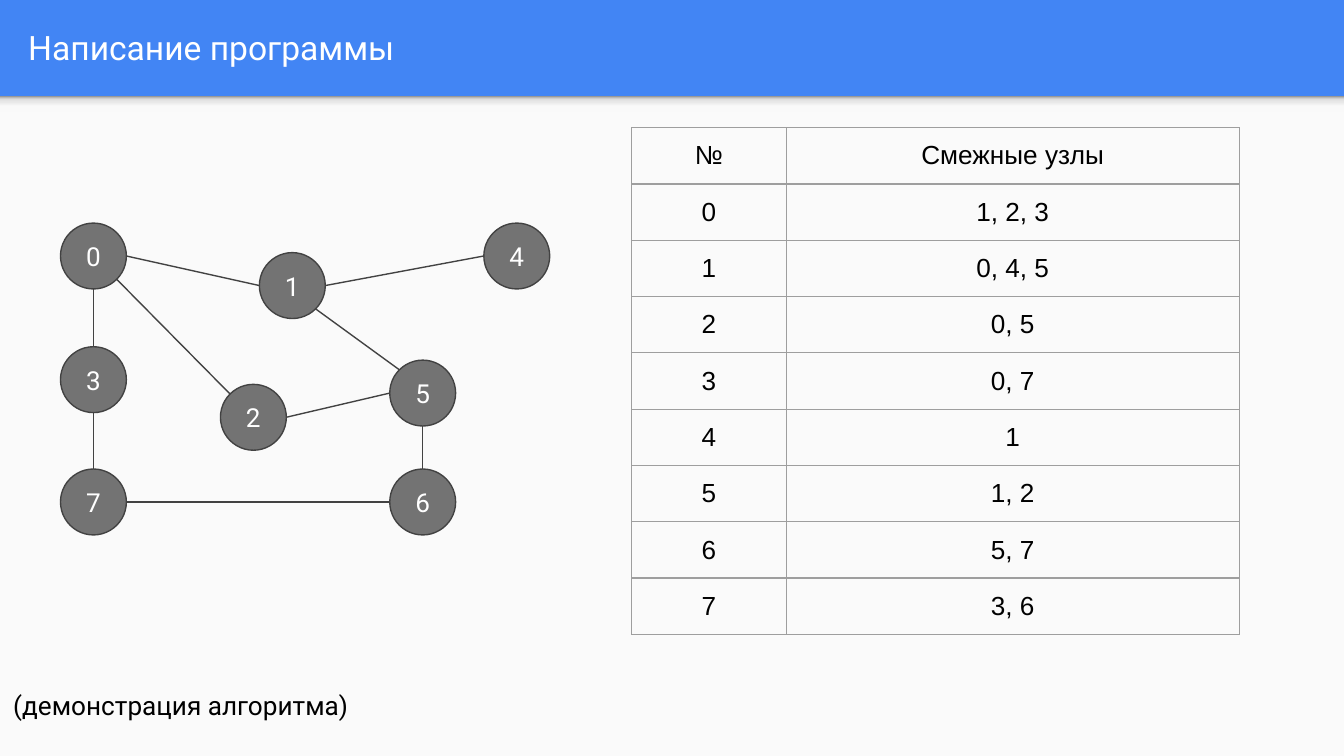
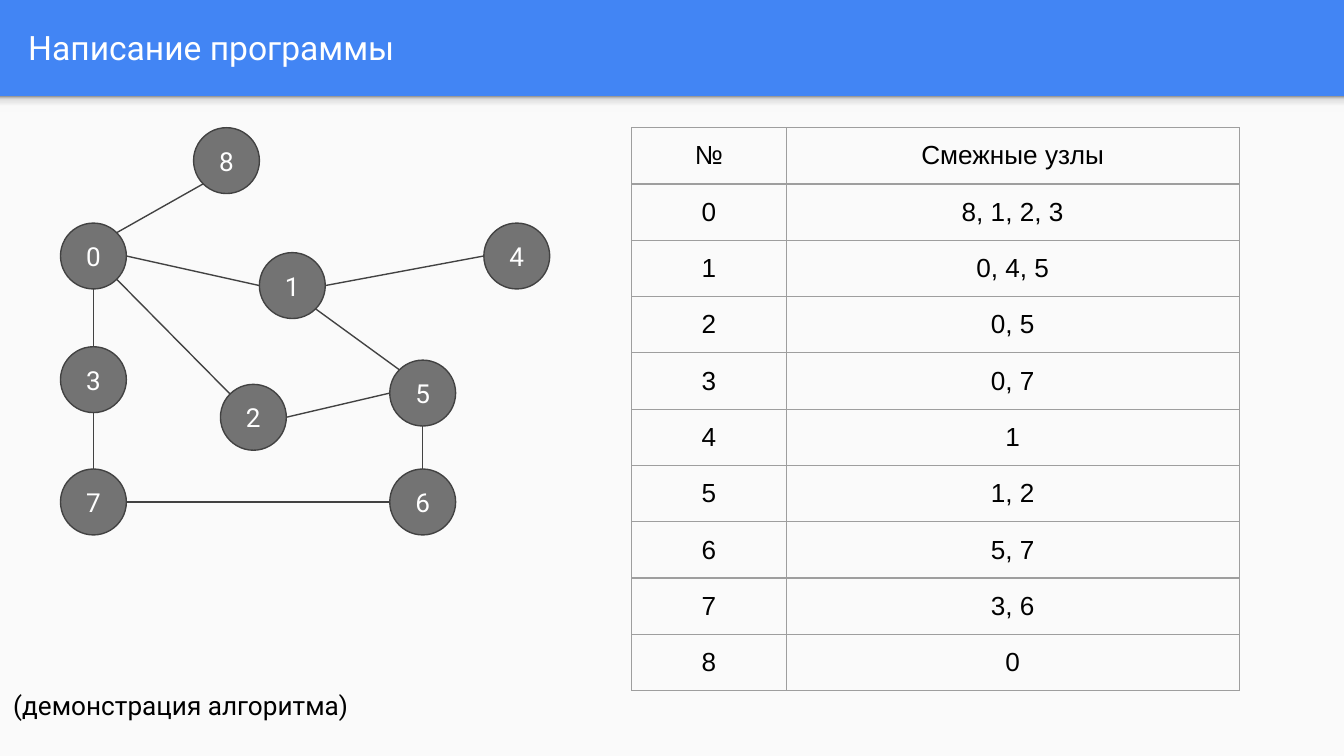
from math import atan2, cos, pi, sin

from pptx import Presentation
from pptx.dml.color import RGBColor
from pptx.enum.shapes import MSO_CONNECTOR, MSO_SHAPE, PP_PLACEHOLDER
from pptx.enum.text import MSO_ANCHOR, MSO_AUTO_SIZE, PP_ALIGN
from pptx.oxml import parse_xml
from pptx.oxml.ns import nsdecls, qn
from pptx.util import Inches, Pt

# Colours
BLUE = RGBColor(0x42, 0x85, 0xF4)
PAPER = RGBColor(0xFA, 0xFA, 0xFA)
WHITE = RGBColor(0xFF, 0xFF, 0xFF)
BLACK = RGBColor(0x00, 0x00, 0x00)
NODE_FILL = RGBColor(0x73, 0x73, 0x73)
NODE_LINE = RGBColor(0x42, 0x42, 0x42)
TABLE_LINE = RGBColor(0x9E, 0x9E, 0x9E)
SHADOW_STOPS = [
    (0, RGBColor(0xF9, 0xF9, 0xF9)),
    (36, RGBColor(0xF9, 0xF9, 0xF9)),
    (80, RGBColor(0xDE, 0xDE, 0xDE)),
    (100, RGBColor(0x99, 0x99, 0x99)),
]

# Sizes and regions in inches: left, top, width, height
SLIDE_WIDTH = 10
SLIDE_HEIGHT = SLIDE_WIDTH * 9 / 16
PANEL_HEIGHT = 4.91
HEADER_HEIGHT = SLIDE_HEIGHT - PANEL_HEIGHT
TITLE_BOX = (0.11, 0.02, 9.65, 0.66)
GRAPH_BOX = (0.45, 0.95, 3.64, 3.03)
TABLE_BOX = (4.7, 0.95, 4.52)
CAPTION_BOX = (0, 5.03, 3.4, 0.6)
NODE_SIZE = 0.49
LINE_WIDTH = Pt(0.75)
NUMBER_COLUMN = 1.15
ROW_HEIGHT = 0.39

# Text formats
TITLE_FONT = {"name": "Roboto", "size": Pt(18)}
BODY_FONT = {"name": "Roboto", "size": Pt(14)}
TABLE_FONT = {"name": "Arial", "size": Pt(14)}
MARGINS = {
    f"margin_{side}": Inches(0.1) for side in ("left", "top", "right", "bottom")
}

# Slide content
TITLE = "Написание программы"
CAPTION = "(демонстрация алгоритма)"
TABLE_HEADER = ("№", "Смежные узлы")
NODE_OFFSETS = {
    0: (0, 0.71),
    1: (1.48, 0.93),
    2: (1.19, 1.91),
    3: (0, 1.63),
    4: (3.15, 0.71),
    5: (2.45, 1.73),
    6: (2.45, 2.54),
    7: (0, 2.54),
    8: (0.99, 0),
}
FIRST_GRAPH = {
    0: [1, 2, 3],
    1: [0, 4, 5],
    2: [0, 5],
    3: [0, 7],
    4: [1],
    5: [1, 2],
    6: [5, 7],
    7: [3, 6],
}
EXTENDED_GRAPH = {**FIRST_GRAPH, 0: [8, 1, 2, 3], 8: [0]}


def apply_format(target, values):
    for name, value in values.items():
        setattr(target, name, value)


def inches(values):
    return [Inches(value) for value in values]


def write_text(text_frame, text, font, color, alignment=PP_ALIGN.LEFT):
    paragraph = text_frame.paragraphs[0]
    paragraph.alignment = alignment
    run = paragraph.add_run()
    run.text = text
    apply_format(run.font, font)
    run.font.color.rgb = color


def add_filled_shape(slide, kind, box, color):
    shape = slide.shapes.add_shape(kind, *inches(box))
    shape.shadow.inherit = False
    shape.fill.solid()
    shape.fill.fore_color.rgb = color
    return shape


def set_gradient(shape, stops, angle):
    shape.fill.gradient()
    properties = shape.element.spPr
    stop_xml = "".join(
        f'<a:gs pos="{position * 1000}"><a:srgbClr val="{color}"/></a:gs>'
        for position, color in stops
    )
    gradient = parse_xml(
        f'<a:gradFill {nsdecls("a")}><a:gsLst>{stop_xml}</a:gsLst>'
        f'<a:lin ang="{angle * 60000}" scaled="0"/></a:gradFill>'
    )
    properties.replace(properties.find(qn("a:gradFill")), gradient)


def set_borders(cell):
    properties = cell._tc.get_or_add_tcPr()
    for side in "LRTB":
        properties.append(parse_xml(
            f'<a:ln{side} {nsdecls("a")} w="{int(LINE_WIDTH)}"><a:solidFill>'
            f'<a:srgbClr val="{TABLE_LINE}"/></a:solidFill></a:ln{side}>'
        ))


def style_layout(layout, slide):
    """Give the layout its header colour, content panel and title box."""
    layout.background.fill.solid()
    layout.background.fill.fore_color.rgb = BLUE
    for placeholder in list(layout.placeholders):
        if placeholder.placeholder_format.type != PP_PLACEHOLDER.TITLE:
            layout.shapes.element.remove(placeholder.element)
            continue
        names = ("left", "top", "width", "height")
        apply_format(placeholder, dict(zip(names, inches(TITLE_BOX))))

    panel_box = (0, HEADER_HEIGHT, SLIDE_WIDTH, PANEL_HEIGHT)
    panel = add_filled_shape(slide, MSO_SHAPE.RECTANGLE, panel_box, PAPER)
    shadow_box = (0, HEADER_HEIGHT, SLIDE_WIDTH, 0.12)
    shadow = add_filled_shape(slide, MSO_SHAPE.RECTANGLE, shadow_box, PAPER)
    set_gradient(shadow, SHADOW_STOPS, 270)
    # Both parts belong to the layout, behind its title
    for position, shape in enumerate((panel, shadow), start=2):
        shape.line.fill.background()
        layout.shapes.element.insert(position, shape.element)


def add_title(slide):
    text_frame = slide.shapes.title.text_frame
    apply_format(text_frame, {
        **MARGINS,
        "vertical_anchor": MSO_ANCHOR.MIDDLE,
        "auto_size": MSO_AUTO_SIZE.NONE,
    })
    write_text(text_frame, TITLE, TITLE_FONT, WHITE)


def add_node(slide, number, left, top):
    box = (left, top, NODE_SIZE, NODE_SIZE)
    node = add_filled_shape(slide, MSO_SHAPE.OVAL, box, NODE_FILL)
    node.line.color.rgb = NODE_LINE
    node.line.width = LINE_WIDTH
    apply_format(node.text_frame, {
        **MARGINS, "vertical_anchor": MSO_ANCHOR.MIDDLE, "word_wrap": True,
    })
    write_text(node.text_frame, str(number), BODY_FONT, WHITE, PP_ALIGN.CENTER)


def add_edge(slide, start, end):
    """Join two node centres, leaving each rim at the nearest eighth turn."""
    angle = atan2(end[1] - start[1], end[0] - start[0])
    angle = round(angle / (pi / 4)) * pi / 4
    reach_x = NODE_SIZE / 2 * cos(angle)
    reach_y = NODE_SIZE / 2 * sin(angle)
    ends = (start[0] + reach_x, start[1] + reach_y,
            end[0] - reach_x, end[1] - reach_y)
    edge = slide.shapes.add_connector(MSO_CONNECTOR.STRAIGHT, *inches(ends))
    edge.line.color.rgb = NODE_LINE
    edge.line.width = LINE_WIDTH
    edge.element.spPr.append(parse_xml(f'<a:effectLst {nsdecls("a")}/>'))


def add_graph(slide, box, graph):
    left, top = box[:2]
    centres = {}
    for number in graph:
        offset_x, offset_y = NODE_OFFSETS[number]
        add_node(slide, number, left + offset_x, top + offset_y)
        centres[number] = (left + offset_x + NODE_SIZE / 2,
                           top + offset_y + NODE_SIZE / 2)
    edges = {
        (min(node, other), max(node, other))
        for node, neighbours in graph.items() for other in neighbours
    }
    for start, end in sorted(edges):
        add_edge(slide, centres[start], centres[end])


def add_adjacency_table(slide, box, graph):
    left, top, width = box
    rows = [TABLE_HEADER] + [
        (str(node), ", ".join(map(str, neighbours)))
        for node, neighbours in graph.items()
    ]
    table = slide.shapes.add_table(
        len(rows), len(TABLE_HEADER),
        *inches((left, top, width, ROW_HEIGHT * len(rows))),
    ).table
    apply_format(table, {"first_row": False, "horz_banding": False})
    for column, column_width in zip(
            table.columns, (NUMBER_COLUMN, width - NUMBER_COLUMN)):
        column.width = Inches(column_width)
    for row, texts in zip(table.rows, rows):
        row.height = Inches(ROW_HEIGHT)
        for cell, text in zip(row.cells, texts):
            set_borders(cell)
            cell.fill.background()
            apply_format(cell, {
                **MARGINS, "vertical_anchor": MSO_ANCHOR.MIDDLE,
            })
            write_text(cell.text_frame, text, TABLE_FONT, BLACK,
                       PP_ALIGN.CENTER)


def add_caption(slide, box):
    text_frame = slide.shapes.add_textbox(*inches(box)).text_frame
    apply_format(text_frame, {**MARGINS, "word_wrap": True})
    write_text(text_frame, CAPTION, BODY_FONT, BLACK)


def fill_slide(slide, graph):
    add_title(slide)
    add_graph(slide, GRAPH_BOX, graph)
    add_adjacency_table(slide, TABLE_BOX, graph)
    add_caption(slide, CAPTION_BOX)


def main():
    presentation = Presentation()
    presentation.slide_width = Inches(SLIDE_WIDTH)
    presentation.slide_height = Inches(SLIDE_HEIGHT)
    layout = presentation.slide_layouts.get_by_name("Title Only")
    graphs = (FIRST_GRAPH, EXTENDED_GRAPH)
    slides = [presentation.slides.add_slide(layout) for _ in graphs]
    style_layout(layout, slides[0])
    for slide, graph in zip(slides, graphs):
        fill_slide(slide, graph)
    presentation.save("out.pptx")


if __name__ == "__main__":
    main()
